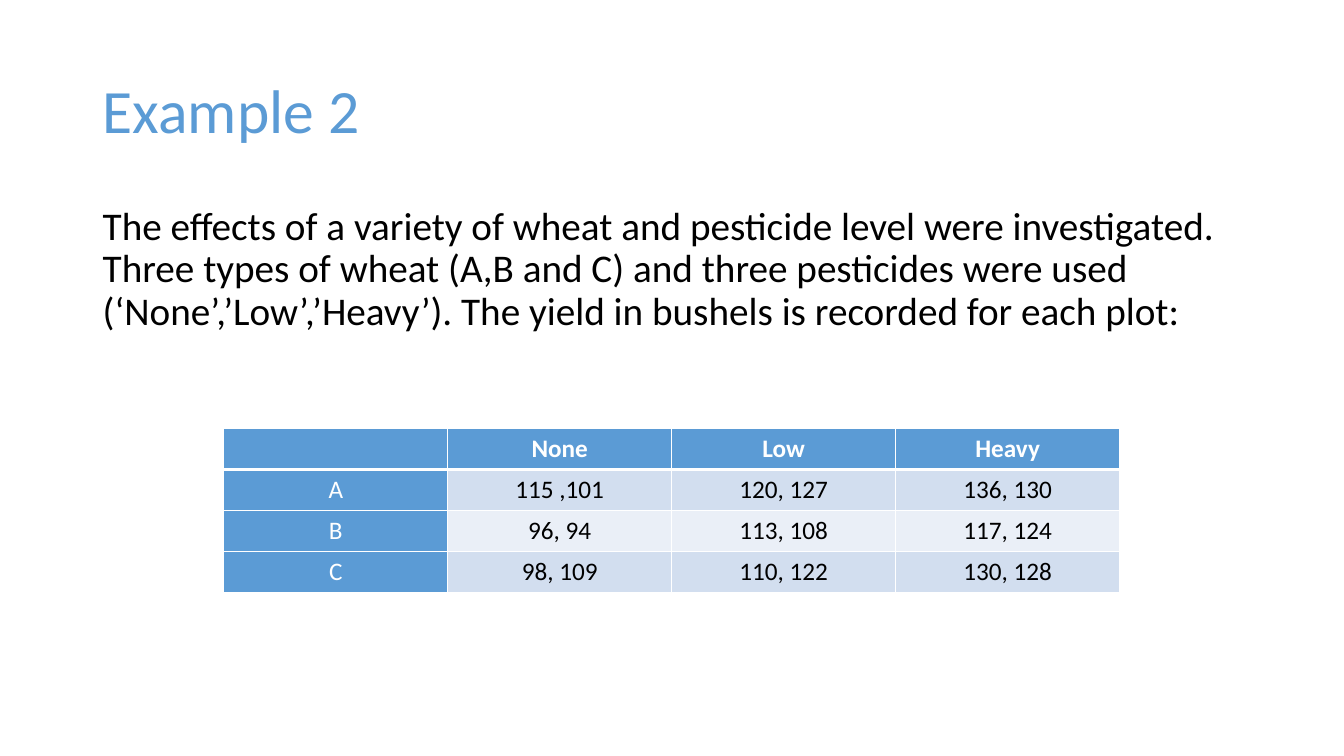
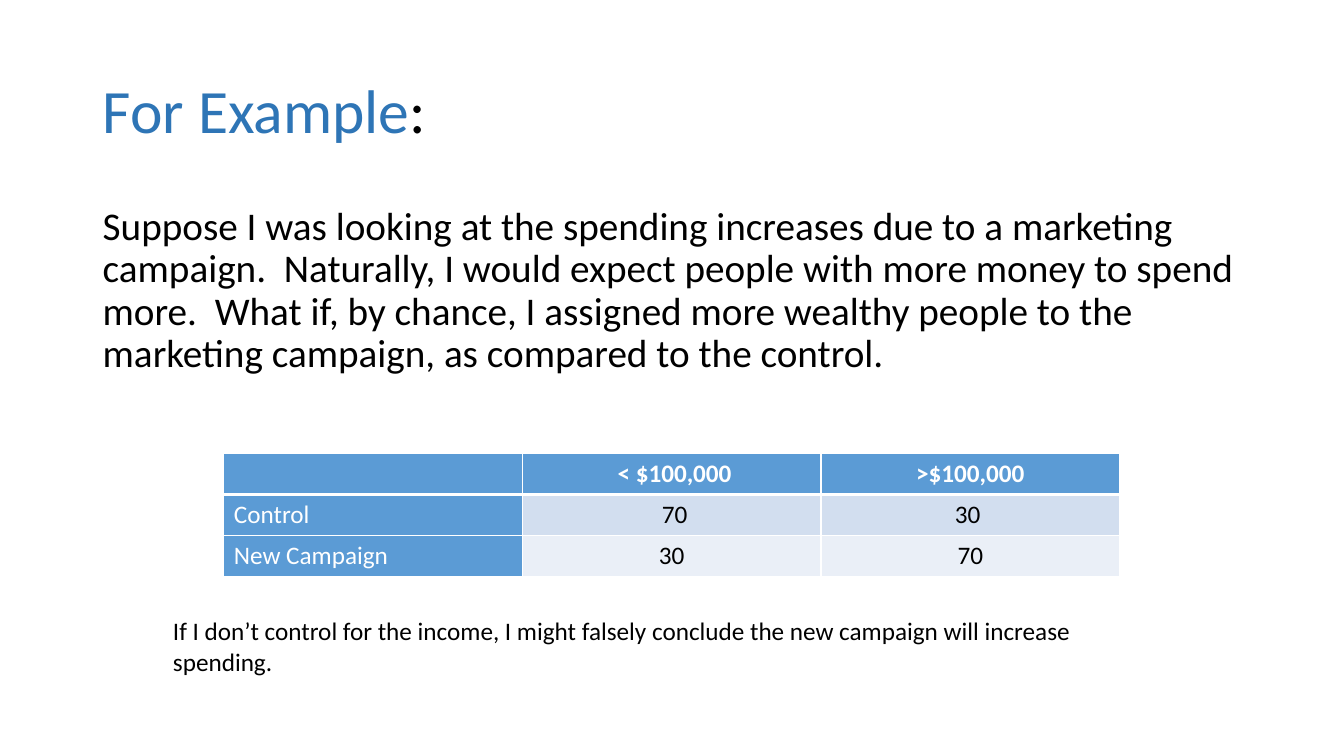
from lxml import etree
from pptx import Presentation
from pptx.dml.color import RGBColor
from pptx.enum.text import MSO_ANCHOR, MSO_AUTO_SIZE, PP_ALIGN
from pptx.oxml.ns import qn
from pptx.util import Cm, Pt

LEFT, CENTER = PP_ALIGN.LEFT, PP_ALIGN.CENTER
TOP, MIDDLE = MSO_ANCHOR.TOP, MSO_ANCHOR.MIDDLE
GROW = MSO_AUTO_SIZE.SHAPE_TO_FIT_TEXT


def color(value):
    return RGBColor.from_string(value)


class Deck:
    FONT = "Calibri"
    BLACK, WHITE = "000000", "FFFFFF"
    BLUE, DARK_BLUE = "5B9BD5", "2E75B6"
    BANDS = ("D2DEEF", "EAEFF7")
    MARGIN, CONTENT_WIDTH = 2.34, 29.21
    TABLE_LEFT, TABLE_WIDTH, ROW_HEIGHT = 5.64, 22.58, 1.03
    THIN, THICK = 1, 3

    def __init__(self):
        self.presentation = Presentation()
        self.presentation.slide_width = Cm(33.87)
        self.presentation.slide_height = Cm(19.05)
        self.page = None

    def add_page(self):
        self.page = self.presentation.slides.add_slide(self.presentation.slide_layouts[6])

    def add_span(self, para, text, size, ink, bold=False):
        span = para.add_run()
        span.text = text
        span.font.name = self.FONT
        span.font.size = Pt(size)
        span.font.bold = bold
        span.font.color.rgb = color(ink)

    def add_box(self, left, top, width, height, anchor=TOP, wrap=True):
        box = self.page.shapes.add_textbox(Cm(left), Cm(top), Cm(width), Cm(height))
        frame = box.text_frame
        frame.word_wrap = wrap
        frame.vertical_anchor = anchor
        return frame

    def add_title(self, *spans):
        frame = self.add_box(self.MARGIN, 1.02, self.CONTENT_WIDTH, 3.68, MIDDLE)
        para = frame.paragraphs[0]
        para.line_spacing = 0.9
        for text, ink in spans:
            self.add_span(para, text, 44, ink)

    def add_body(self, text):
        frame = self.add_box(self.MARGIN, 5.08, self.CONTENT_WIDTH, 12.09)
        para = frame.paragraphs[0]
        para.line_spacing = 0.9
        para.space_before = Pt(10)
        self.add_span(para, text, 28, self.BLACK)

    def add_note(self, left, top, width, height, lines):
        frame = self.add_box(left, top, width, height, wrap=False)
        frame.auto_size = GROW
        for index, line in enumerate(lines):
            para = frame.add_paragraph() if index else frame.paragraphs[0]
            self.add_span(para, line, 18, self.BLACK)

    def add_borders(self, cell, top, bottom):
        properties = cell._tc.get_or_add_tcPr()
        widths = {"a:lnL": self.THIN, "a:lnR": self.THIN, "a:lnT": top, "a:lnB": bottom}
        for tag, width in widths.items():
            line = etree.SubElement(properties, qn(tag), w=str(Pt(width)))
            fill = etree.SubElement(line, qn("a:solidFill"))
            etree.SubElement(fill, qn("a:srgbClr"), val=self.WHITE)

    def add_table(self, top, rows, label_align=CENTER):
        row_count, column_count = len(rows), len(rows[0])
        table = self.page.shapes.add_table(
            row_count, column_count, Cm(self.TABLE_LEFT), Cm(top),
            Cm(self.TABLE_WIDTH), Cm(self.ROW_HEIGHT * row_count)).table
        table.horz_banding = False
        for column in table.columns:
            column.width = Cm(self.TABLE_WIDTH / column_count)
        for row_index, texts in enumerate(rows):
            table.rows[row_index].height = Cm(self.ROW_HEIGHT)
            header = row_index == 0
            for column_index, text in enumerate(texts):
                cell = table.cell(row_index, column_index)
                label = column_index == 0
                accent = header or label
                self.add_borders(cell, self.THICK if row_index == 1 else self.THIN,
                                 self.THICK if header else self.THIN)
                cell.fill.solid()
                cell.fill.fore_color.rgb = color(
                    self.BLUE if accent else self.BANDS[(row_index - 1) % 2])
                if text:
                    para = cell.text_frame.paragraphs[0]
                    para.alignment = label_align if label else CENTER
                    self.add_span(para, text, 18, self.WHITE if accent else self.BLACK, header)


def main():
    deck = Deck()

    deck.add_page()
    deck.add_title(("Example 2", deck.BLUE))
    deck.add_body("The effects of a variety of wheat and pesticide level were investigated. "
                  "Three types of wheat (A,B and C) and three pesticides were used "
                  "(‘None’,’Low’,’Heavy’). The yield in bushels is recorded for each plot:")
    deck.add_table(10.8, [
        ["", "None", "Low", "Heavy"],
        ["A", "115 ,101", "120, 127", "136, 130"],
        ["B", "96, 94", "113, 108", "117, 124"],
        ["C", "98, 109", "110, 122", "130, 128"],
    ])

    deck.add_page()
    deck.add_title(("For Example", deck.DARK_BLUE), (":", deck.BLACK))
    deck.add_body("Suppose I was looking at the spending increases due to a marketing campaign.  "
                  "Naturally, I would expect people with more money to spend more.  "
                  "What if, by chance, I assigned more wealthy people to the marketing campaign, "
                  "as compared to the control.")
    deck.add_table(11.43, [
        ["", " < $100,000", ">$100,000"],
        ["Control", " 70", "30 "],
        ["New Campaign", "30", "70"],
    ], LEFT)
    deck.add_note(4.11, 15.39, 23.42, 1.8, [
        "If I don’t control for the income, I might falsely conclude "
        "the new campaign will increase",
        "spending.",
    ])

    deck.presentation.save("out.pptx")


if __name__ == "__main__":
    main()
